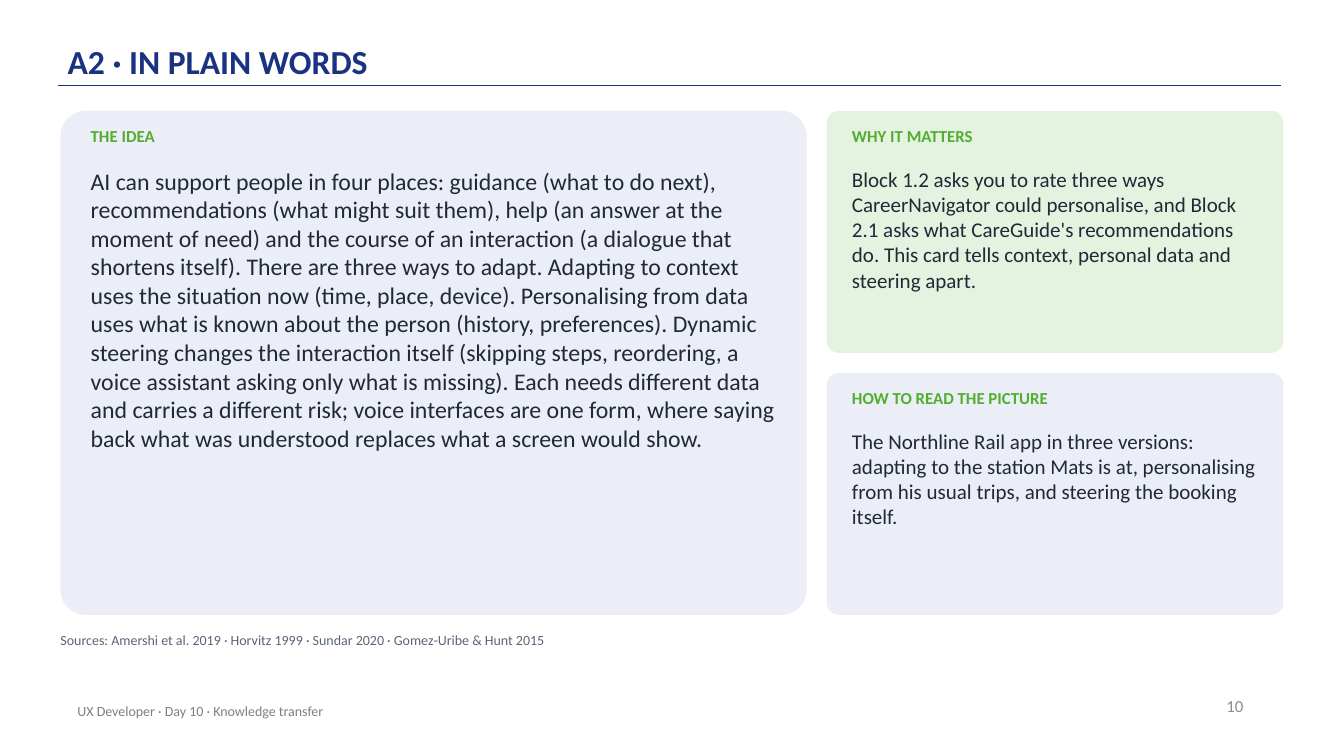
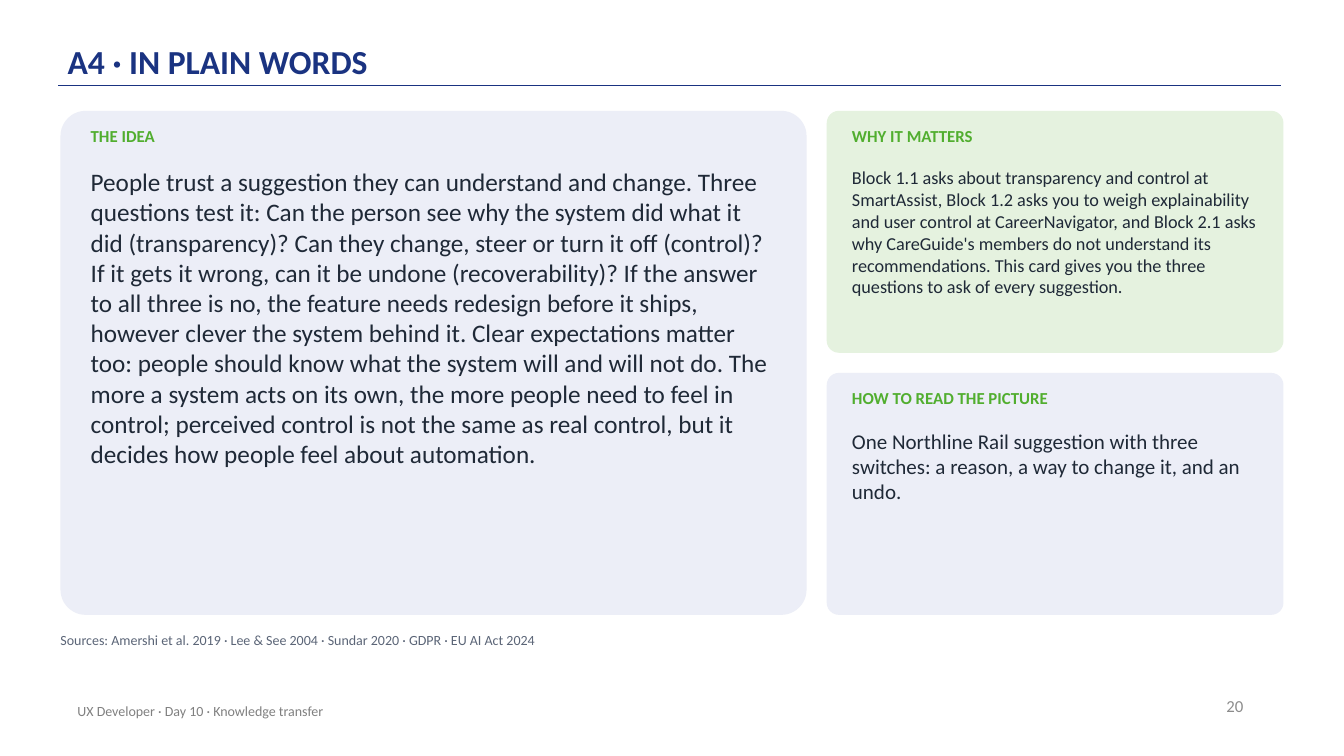
from pptx import Presentation
from pptx.dml.color import RGBColor
from pptx.enum import shapes, text
from pptx.oxml import parse_xml
from pptx.oxml.ns import nsdecls
from pptx.util import Inches, Pt

FONT = "Calibri"
NAVY = RGBColor(0x1A, 0x33, 0x81)
GREEN = RGBColor(0x51, 0xAE, 0x2F)
INK = RGBColor(0x1F, 0x29, 0x37)
SLATE = RGBColor(0x5B, 0x65, 0x77)
FOOTER_GREY = RGBColor(0x80, 0x80, 0x80)
NUMBER_GREY = RGBColor(0x8C, 0x8C, 0x8C)
PALE_BLUE = RGBColor(0xEC, 0xEE, 0xF7)
PALE_GREEN = RGBColor(0xE5, 0xF2, 0xDF)

TOP, GAP = 1.1, 0.2
IDEA_LEFT, IDEA_W, IDEA_H = 0.6, 7.4, 5
SIDE_LEFT, SIDE_W = IDEA_LEFT + IDEA_W + GAP, 4.53
SIDE_H = (IDEA_H - GAP) / 2
FOOTER = "UX Developer · Day 10 · Knowledge transfer"

# Each card text is paired with its size in points.
SLIDES = [
    {
        "title": "A2 · IN PLAIN WORDS",
        "number": 10,
        "idea": (
            "AI can support people in four places: guidance (what to do next), "
            "recommendations (what might suit them), help (an answer at the moment of need) "
            "and the course of an interaction (a dialogue that shortens itself). There are "
            "three ways to adapt. Adapting to context uses the situation now (time, place, "
            "device). Personalising from data uses what is known about the person (history, "
            "preferences). Dynamic steering changes the interaction itself (skipping steps, "
            "reordering, a voice assistant asking only what is missing). Each needs different "
            "data and carries a different risk; voice interfaces are one form, where saying "
            "back what was understood replaces what a screen would show.", 17),
        "why": (
            "Block 1.2 asks you to rate three ways CareerNavigator could personalise, and "
            "Block 2.1 asks what CareGuide's recommendations do. This card tells context, "
            "personal data and steering apart.", 15),
        "picture": (
            "The Northline Rail app in three versions: adapting to the station Mats is at, "
            "personalising from his usual trips, and steering the booking itself.", 15),
        "sources": "Sources: Amershi et al. 2019 · Horvitz 1999 · Sundar 2020 · "
                   "Gomez-Uribe & Hunt 2015",
    },
    {
        "title": "A4 · IN PLAIN WORDS",
        "number": 20,
        "idea": (
            "People trust a suggestion they can understand and change. Three questions test "
            "it: Can the person see why the system did what it did (transparency)? Can they "
            "change, steer or turn it off (control)? If it gets it wrong, can it be undone "
            "(recoverability)? If the answer to all three is no, the feature needs redesign "
            "before it ships, however clever the system behind it. Clear expectations matter "
            "too: people should know what the system will and will not do. The more a system "
            "acts on its own, the more people need to feel in control; perceived control is "
            "not the same as real control, but it decides how people feel about automation.",
            18),
        "why": (
            "Block 1.1 asks about transparency and control at SmartAssist, Block 1.2 asks you "
            "to weigh explainability and user control at CareerNavigator, and Block 2.1 asks "
            "why CareGuide's members do not understand its recommendations. This card gives "
            "you the three questions to ask of every suggestion.", 13),
        "picture": (
            "One Northline Rail suggestion with three switches: a reason, a way to change it, "
            "and an undo.", 15),
        "sources": "Sources: Amershi et al. 2019 · Lee & See 2004 · Sundar 2020 · GDPR · "
                   "EU AI Act 2024",
    },
]


def set_font(p, size, color, bold=False):
    p.font.name, p.font.size, p.font.bold = FONT, Pt(size), bold
    p.font.color.rgb = color


def set_insets(tf, side, end):
    tf.margin_left = tf.margin_right = Inches(side)
    tf.margin_top = tf.margin_bottom = Inches(end)


def add_text(s, box, words, size, color, bold=False):
    """Add a wrapped text box without insets and return its frame."""
    tf = s.shapes.add_textbox(*map(Inches, box)).text_frame
    tf.word_wrap = True
    set_insets(tf, 0, 0)
    p = tf.paragraphs[0]
    p.text = words
    set_font(p, size, color, bold)
    return tf


def add_title(s, words):
    title = s.shapes.title
    title.left, title.top, title.width, title.height = map(Inches, (0.67, 0.12, 11, 0.72))
    tf = title.text_frame
    tf.word_wrap = True
    tf.auto_size = text.MSO_AUTO_SIZE.NONE
    tf.vertical_anchor = text.MSO_ANCHOR.BOTTOM
    set_insets(tf, 0, 0.03)
    p = tf.paragraphs[0]
    p.text = words
    p.alignment = text.PP_ALIGN.LEFT
    p.line_spacing = 0.9
    set_font(p, 24, NAVY, bold=True)

    rule = s.shapes.add_connector(
        shapes.MSO_CONNECTOR.STRAIGHT, *map(Inches, (0.58, 0.85, 12.71, 0.85)))
    rule.line.color.rgb = NAVY
    rule.line.width = Pt(1)
    rule._element.spPr.append(parse_xml(f"<a:effectLst {nsdecls('a')}/>"))


def add_footer(s, number):
    label = add_text(s, (0.67, 6.85, 6.7, 0.4), FOOTER, 10, FOOTER_GREY)
    page = add_text(s, (9.43, 6.8, 3, 0.4), str(number), 12, NUMBER_GREY)
    page.paragraphs[0].alignment = text.PP_ALIGN.RIGHT
    for tf in (label, page):
        set_insets(tf, 0.1, 0.05)
        tf.vertical_anchor = text.MSO_ANCHOR.MIDDLE


def add_card(s, box, fill, heading, body, pad):
    """Draw a rounded panel with a heading and a (words, size) body."""
    left, top, width, height = box
    panel = s.shapes.add_shape(
        shapes.MSO_SHAPE.ROUNDED_RECTANGLE, *map(Inches, box))
    panel.adjustments[0] = 0.05
    panel.shadow.inherit = False
    panel.fill.solid()
    panel.fill.fore_color.rgb = fill
    panel.line.fill.background()

    left, width = left + pad, width - 2 * pad
    words, size = body
    add_text(s, (left, top + 0.15, width, 0.35), heading, 12, GREEN, bold=True)
    add_text(s, (left, top + 0.55, width, height - 0.65), words, size, INK)


def add_plain_words_slide(prs, content):
    s = prs.slides.add_slide(prs.slide_layouts[5])
    add_title(s, content["title"])
    add_footer(s, content["number"])
    add_card(s, (IDEA_LEFT, TOP, IDEA_W, IDEA_H), PALE_BLUE,
             "THE IDEA", content["idea"], 0.3)
    side_cards = [(PALE_GREEN, "WHY IT MATTERS", "why"),
                  (PALE_BLUE, "HOW TO READ THE PICTURE", "picture")]
    for i, (fill, heading, key) in enumerate(side_cards):
        top = TOP + i * (SIDE_H + GAP)
        add_card(s, (SIDE_LEFT, top, SIDE_W, SIDE_H), fill, heading, content[key], 0.25)
    add_text(s, (IDEA_LEFT, 6.27, 12.1, 0.3), content["sources"], 10, SLATE)


def main():
    prs = Presentation()
    prs.slide_width, prs.slide_height = Inches(13.33), Inches(7.5)
    for content in SLIDES:
        add_plain_words_slide(prs, content)
    prs.save("out.pptx")


if __name__ == "__main__":
    main()
